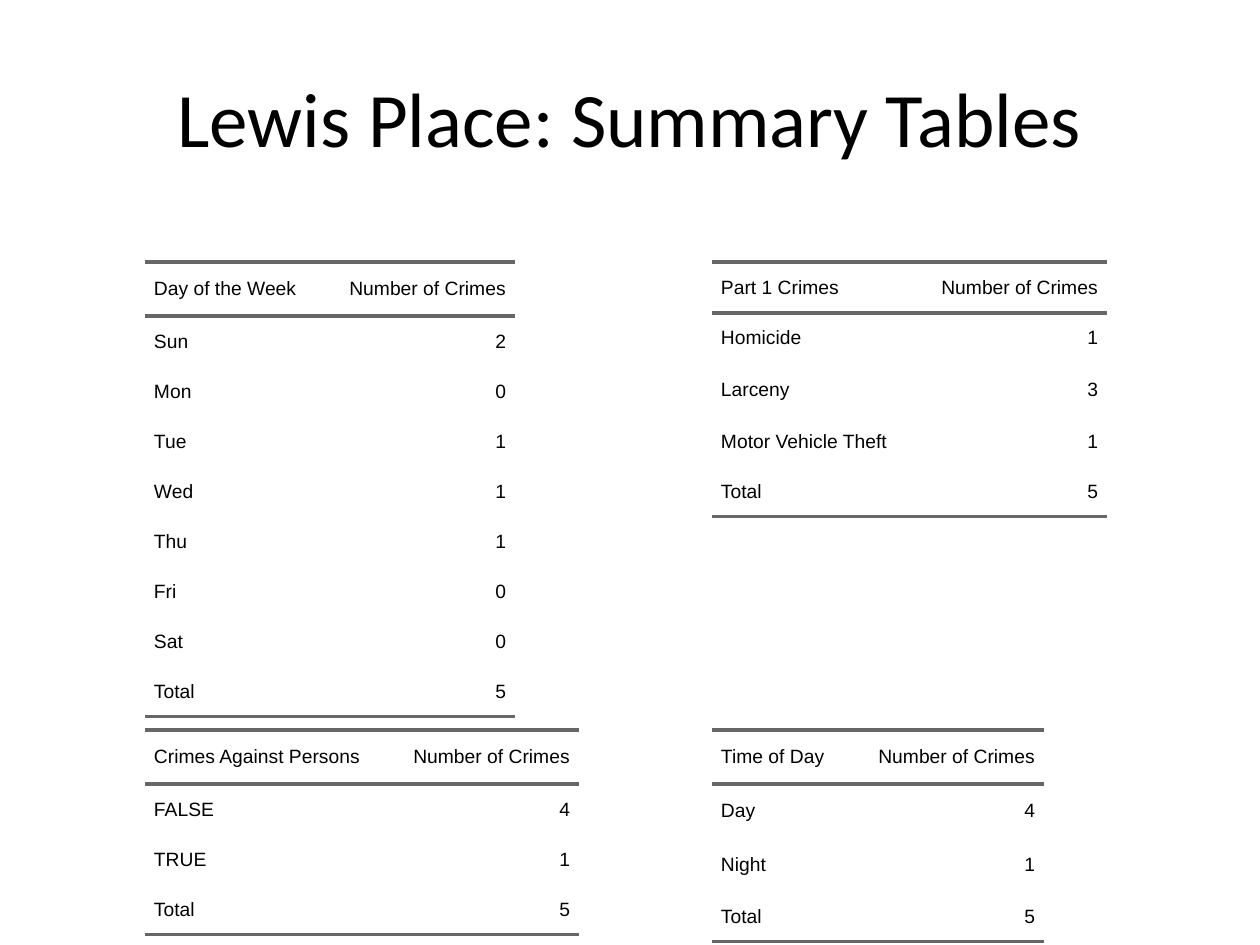
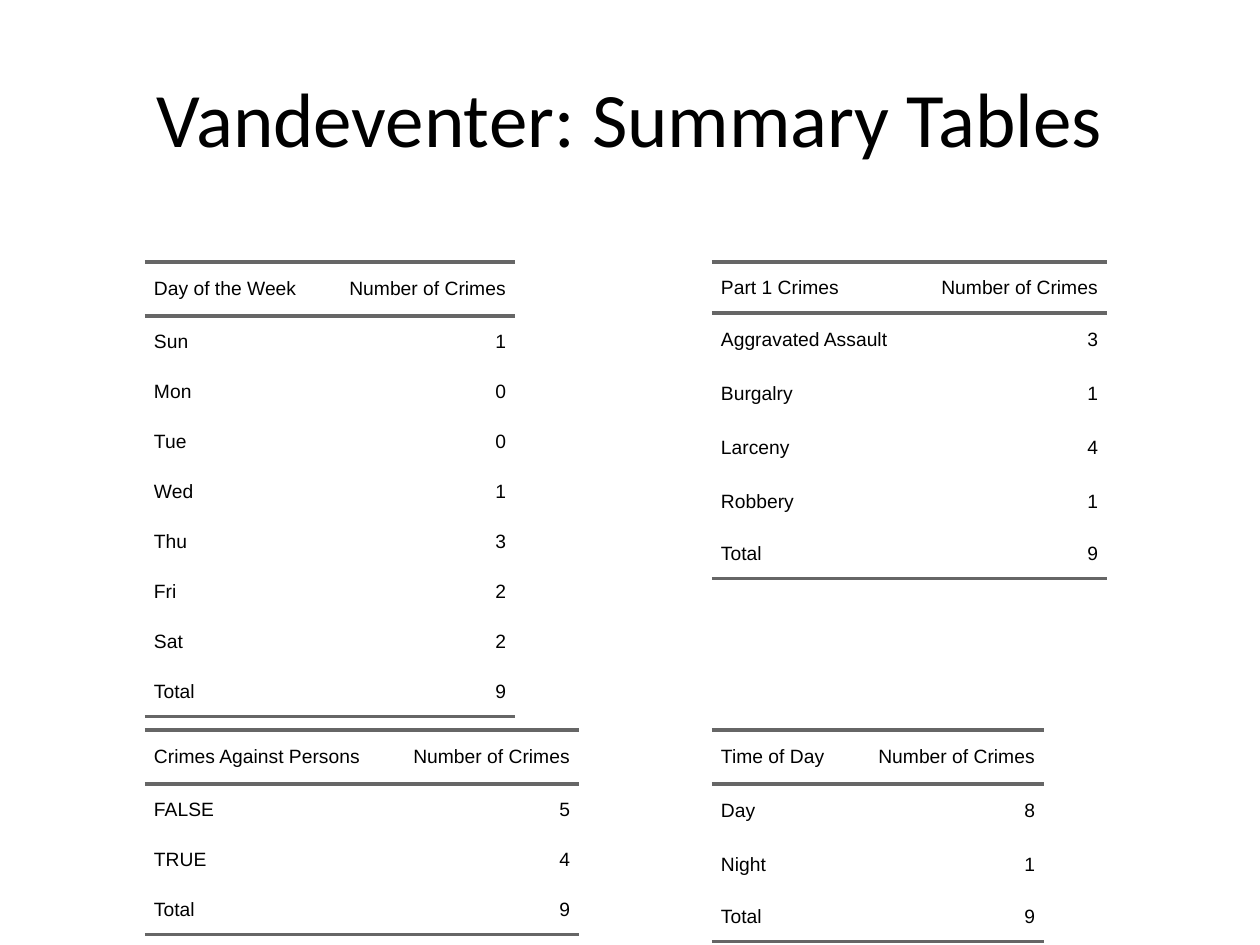
import dataclasses

import lxml.etree
import pptx
import pptx.dml.color
import pptx.enum.text
import pptx.oxml.ns
import pptx.util

EMU_PER_PX = 914400 / 126
SLIDE_WIDTH, SLIDE_HEIGHT = 1260, 945
TITLE_BOX = (63, 38, 1134, 158)
LEFT, RIGHT = 145, 712
TOP, BOTTOM = 262, 730
COUNT_WIDTH = 192
CELL_INDENT = 9
BLACK, RULE_GREY = "000000", "666666"
RULE_POINTS = 2
COUNT_HEADING = "Number of Crimes"
ALIGN = pptx.enum.text.PP_ALIGN
MIDDLE = pptx.enum.text.MSO_ANCHOR.MIDDLE


@dataclasses.dataclass(frozen=True)
class SummaryTable:
    heading: str
    left: int
    top: int
    label_width: int
    row_heights: tuple[int, ...]
    counts: dict[str, int]

    def rows(self) -> list[tuple[str, str]]:
        body = [(label, str(count)) for label, count in self.counts.items()]
        return [(self.heading, COUNT_HEADING), *body, ("Total", str(sum(self.counts.values())))]


@dataclasses.dataclass(frozen=True)
class Neighborhood:
    name: str
    part_one: dict[str, int]
    part_one_heights: tuple[int, ...]
    days: tuple[int, ...]
    against_persons: tuple[int, int]
    times: tuple[int, int]

    def tables(self) -> list[SummaryTable]:
        week = ("Sun", "Mon", "Tue", "Wed", "Thu", "Fri", "Sat")
        return [
            SummaryTable("Part 1 Crimes", RIGHT, TOP, 203, self.part_one_heights, self.part_one),
            SummaryTable("Day of the Week", LEFT, TOP, 178, (54, 51) + (50,) * 7,
                         dict(zip(week, self.days))),
            SummaryTable("Crimes Against Persons", LEFT, BOTTOM, 242, (54, 51, 50, 50),
                         dict(zip(("FALSE", "TRUE"), self.against_persons))),
            SummaryTable("Time of Day", RIGHT, BOTTOM, 140, (54, 54, 54, 50),
                         dict(zip(("Day", "Night"), self.times))),
        ]


NEIGHBORHOODS = [
    Neighborhood("Lewis Place", {"Homicide": 1, "Larceny": 3, "Motor Vehicle Theft": 1},
                 (51, 50, 54, 50, 50), (2, 0, 1, 1, 1, 0, 0), (4, 1), (4, 1)),
    Neighborhood("Vandeventer",
                 {"Aggravated Assault": 3, "Burgalry": 1, "Larceny": 4, "Robbery": 1},
                 (51, 54, 54, 54, 54, 50), (1, 0, 0, 1, 3, 2, 2), (5, 4), (8, 1)),
]


def px(length: int) -> pptx.util.Emu:
    return pptx.util.Emu(round(length * EMU_PER_PX))


def color(value: str) -> pptx.dml.color.RGBColor:
    return pptx.dml.color.RGBColor.from_string(value)


def format_text(paragraph, font_name: str, size: int, alignment) -> None:
    paragraph.alignment = alignment
    for run in paragraph.runs:
        run.font.name = font_name
        run.font.size = pptx.util.Pt(size)
        run.font.color.rgb = color(BLACK)


def set_borders(cell, ruled_sides: set[str]) -> None:
    qualified = pptx.oxml.ns.qn
    properties = cell._tc.get_or_add_tcPr()
    for position, side in enumerate(("lnL", "lnR", "lnT", "lnB")):
        line = lxml.etree.Element(qualified(f"a:{side}"))
        if side in ruled_sides:
            line.set("w", str(pptx.util.Pt(RULE_POINTS)))
            fill = lxml.etree.SubElement(line, qualified("a:solidFill"))
            lxml.etree.SubElement(fill, qualified("a:srgbClr")).set("val", RULE_GREY)
        else:
            lxml.etree.SubElement(line, qualified("a:noFill"))
        properties.insert(position, line)


def fill_cell(cell, text: str, alignment, ruled_sides: set[str]) -> None:
    cell.fill.background()
    cell.margin_left = cell.margin_right = cell.margin_top = cell.margin_bottom = 0
    cell.vertical_anchor = MIDDLE
    set_borders(cell, ruled_sides)
    cell.text_frame.text = text
    paragraph = cell.text_frame.paragraphs[0]
    paragraph_properties = paragraph._p.get_or_add_pPr()
    for name in ("marL", "marR"):
        paragraph_properties.set(name, str(px(CELL_INDENT)))
    paragraph_properties.set("indent", "0")
    paragraph.space_before = paragraph.space_after = pptx.util.Pt(5)
    format_text(paragraph, "Arial", 11, alignment)


def draw_table(slide, summary: SummaryTable) -> None:
    rows = summary.rows()
    widths = (summary.label_width, COUNT_WIDTH)
    table = slide.shapes.add_table(
        len(rows), len(widths), px(summary.left), px(summary.top),
        px(sum(widths)), px(sum(summary.row_heights))).table
    table.first_row = table.horz_banding = False
    for column, width in zip(table.columns, widths):
        column.width = px(width)
    for index, (height, values) in enumerate(zip(summary.row_heights, rows)):
        table.rows[index].height = px(height)
        ruled_sides = set()
        if index in (0, 1):
            ruled_sides.add("lnT")
        if index in (0, len(rows) - 1):
            ruled_sides.add("lnB")
        for cell, text, alignment in zip(table.rows[index].cells, values, (ALIGN.LEFT, ALIGN.RIGHT)):
            fill_cell(cell, text, alignment, ruled_sides)


def draw_title(slide, text: str) -> None:
    title = slide.shapes.title
    title.left, title.top, title.width, title.height = map(px, TITLE_BOX)
    title.text_frame.text = text
    title.text_frame.vertical_anchor = MIDDLE
    format_text(title.text_frame.paragraphs[0], "Calibri", 44, ALIGN.CENTER)


def main() -> None:
    presentation = pptx.Presentation()
    presentation.slide_width = px(SLIDE_WIDTH)
    presentation.slide_height = px(SLIDE_HEIGHT)
    title_only = presentation.slide_layouts.get_by_name("Title Only")
    for neighborhood in NEIGHBORHOODS:
        slide = presentation.slides.add_slide(title_only)
        draw_title(slide, f"{neighborhood.name}: Summary Tables")
        for summary in neighborhood.tables():
            draw_table(slide, summary)
    presentation.save("out.pptx")


if __name__ == "__main__":
    main()
